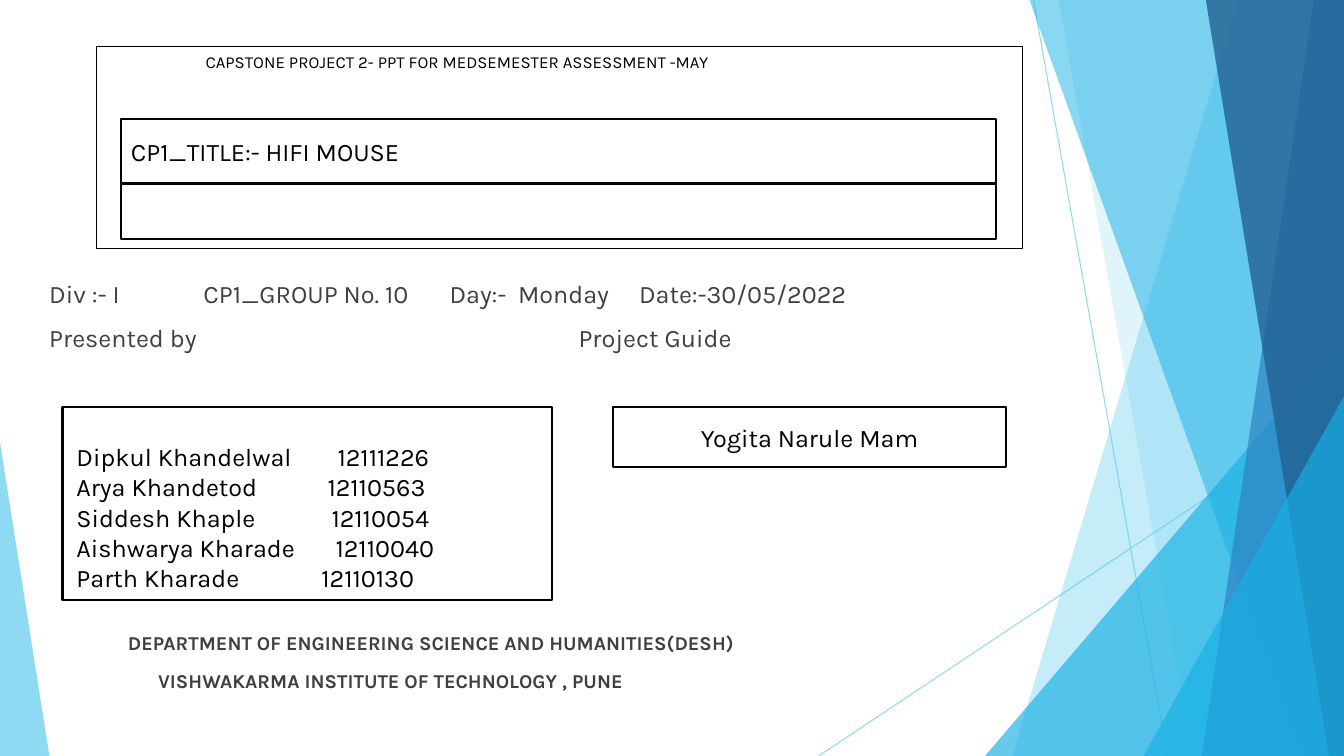
"""Build the capstone project title slide."""
import dataclasses
import typing

import pptx
import pptx.dml.color
import pptx.enum.shapes
import pptx.enum.text
import pptx.oxml.ns
import pptx.oxml.xmlchemy
import pptx.util
from lxml import etree

Inches = pptx.util.Inches
Pt = pptx.util.Pt
qn = pptx.oxml.ns.qn
KIND = pptx.enum.shapes.MSO_SHAPE
ANCHOR = pptx.enum.text.MSO_ANCHOR
ALIGN = pptx.enum.text.PP_ALIGN
WIDE, HIGH = 13.33, 7.5


@dataclasses.dataclass
class Ray:
    start: tuple[float, float]
    end: tuple[float, float]


@dataclasses.dataclass
class Band:
    top: float
    base: float
    color: str
    alpha: int


@dataclasses.dataclass
class Wedge:
    left: float
    top: float
    width: float
    tip: int
    color: str
    alpha: int


@dataclasses.dataclass
class Line:
    text: str
    stops: tuple[float, ...] = ()
    size: int = 18
    bold: bool = False
    before: int = 0


@dataclasses.dataclass
class Box:
    area: tuple[float, float, float, float]
    lines: tuple[Line, ...] = ()
    border: float = 1.5
    color: str = "000000"
    anchor: typing.Any = ANCHOR.MIDDLE
    align: typing.Any = ALIGN.LEFT


RAYS = (Ray((10.25, 0), (11.58, HIGH)), Ray((WIDE, 4.03), (8.12, HIGH)))

GLASS = (
    Band(12.28, 10.04, "5FCBEF", 36),
    Band(10.5, 11.83, "5FCBEF", 20),
    Wedge(9.77, 3.33, 3.56, 1, "17B0E4", 66),
    Band(10.21, 12.91, "17B0E4", 50),
    Band(13.03, 11.92, "2E83C3", 70),
    Band(11.96, 13.18, "226292", 80),
    Wedge(11.34, 3.93, 1.99, 1, "17B0E4", 66),
    Wedge(0, 4.39, 0.49, 0, "5FCBEF", 70),
)

BOXES = (
    Box((0.96, 0.46, 9.18, 2.01),
        (Line("\tCAPSTONE PROJECT 2- PPT FOR MEDSEMESTER ASSESSMENT -MAY", (0.98,), 12),),
        border=0.75, anchor=ANCHOR.TOP),
    Box((0.39, 2.71, 9.76, 4.74), (
        Line("Div :- I\tCP1_GROUP No. 10\tDay:-\tMonday\tDate:-30/05/2022",
             (1.53, 3.97, 4.65, 5.85), before=10),
        Line("Presented by\tProject Guide", (5.25,), before=10),
        Line("\tDEPARTMENT OF ENGINEERING SCIENCE AND HUMANITIES(DESH)",
             (0.78,), 14, True, 199),
        Line("\tVISHWAKARMA INSTITUTE OF TECHNOLOGY , PUNE", (1.08,), 14, True, 10),
    ), border=0, color="404040", anchor=ANCHOR.TOP),
    Box((1.2, 1.18, 8.68, 0.64), (Line("CP1_TITLE:- HIFI MOUSE"),)),
    Box((1.2, 1.82, 8.68, 0.55)),
    Box((0.62, 4.04, 4.86, 1.91)),
    Box((6.08, 4.04, 3.9, 0.59), (Line("Yogita Narule Mam"),), align=ALIGN.CENTER),
    Box((0.66, 4.33, 4.58, 1.62), (
        Line("Dipkul Khandelwal\t12111226", (2.59,)),
        Line("Arya Khandetod\t12110563", (2.49,)),
        Line("Siddesh Khaple\t12110054", (2.53,)),
        Line("Aishwarya Kharade\t12110040", (2.57,)),
        Line("Parth Kharade\t12110130", (2.43,)),
    ), border=0, anchor=ANCHOR.TOP),
)


def paint(fill: typing.Any, color: str) -> None:
    """Fill with a solid hex colour."""
    fill.solid()
    fill.fore_color.rgb = pptx.dml.color.RGBColor.from_string(color)


def fade(shape: typing.Any, alpha: int) -> None:
    """Set the opacity of the shape's colour in percent."""
    for tint in shape.element.spPr.iter(qn("a:srgbClr")):
        etree.SubElement(tint, qn("a:alpha")).set("val", str(alpha * 1000))


def draw_ray(shapes: typing.Any, ray: Ray) -> None:
    """Draw one thin line."""
    link = shapes.add_connector(
        pptx.enum.shapes.MSO_CONNECTOR.STRAIGHT,
        *(Inches(n) for n in ray.start + ray.end))
    paint(link.line.fill, "5FCBEF")
    link.line.width = Pt(0.75)
    fade(link, 70)
    etree.SubElement(link.element.spPr, qn("a:effectLst"))


def draw_glass(shapes: typing.Any, pane: Band | Wedge) -> None:
    """Draw one translucent pane."""
    if isinstance(pane, Band):
        edge = shapes.build_freeform(pane.top * 100, 0, scale=Inches(0.01))
        edge.add_line_segments([
            (WIDE * 100, 0), (WIDE * 100, HIGH * 100), (pane.base * 100, HIGH * 100)])
        shape = edge.convert_to_shape()
    else:
        area = (pane.left, pane.top, pane.width, HIGH - pane.top)
        shape = shapes.add_shape(KIND.ISOSCELES_TRIANGLE, *(Inches(n) for n in area))
        shape.adjustments[0] = pane.tip
    paint(shape.fill, pane.color)
    fade(shape, pane.alpha)
    shape.line.fill.background()
    shape.shadow.inherit = False


def write(para: typing.Any, line: Line, box: Box) -> None:
    """Write one line of text with its tab stops."""
    para.text = line.text
    para.alignment = box.align
    para.space_before = Pt(line.before)
    if line.stops:
        tabs = etree.SubElement(para._p.get_or_add_pPr(), qn("a:tabLst"))
        for stop in line.stops:
            etree.SubElement(tabs, qn("a:tab"), pos=str(Inches(stop)), algn="l")
    for run in para.runs:
        run.font.name = "Karla"
        run.font.size = Pt(line.size)
        run.font.bold = line.bold
        paint(run.font.fill, box.color)


def draw_box(shapes: typing.Any, box: Box) -> None:
    """Draw one box, framed or plain, and its text."""
    area = [Inches(n) for n in box.area]
    if box.border:
        shape = shapes.add_shape(KIND.RECTANGLE, *area)
        paint(shape.fill, "FFFFFF")
        paint(shape.line.fill, "000000")
        shape.line.width = Pt(box.border)
        shape.shadow.inherit = False
    else:
        shape = shapes.add_textbox(*area)
    frame = shape.text_frame
    frame.word_wrap = True
    frame.vertical_anchor = box.anchor
    for num, line in enumerate(box.lines):
        write(frame.add_paragraph() if num else frame.paragraphs[0], line, box)


def main() -> None:
    """Build and save the deck."""
    deck = pptx.Presentation()
    deck.slide_width, deck.slide_height = Inches(WIDE), Inches(HIGH)
    shapes = deck.slides.add_slide(deck.slide_layouts[6]).shapes
    for ray in RAYS:
        draw_ray(shapes, ray)
    for pane in GLASS:
        draw_glass(shapes, pane)
    for box in BOXES:
        draw_box(shapes, box)
    deck.save("out.pptx")


if __name__ == "__main__":
    main()
